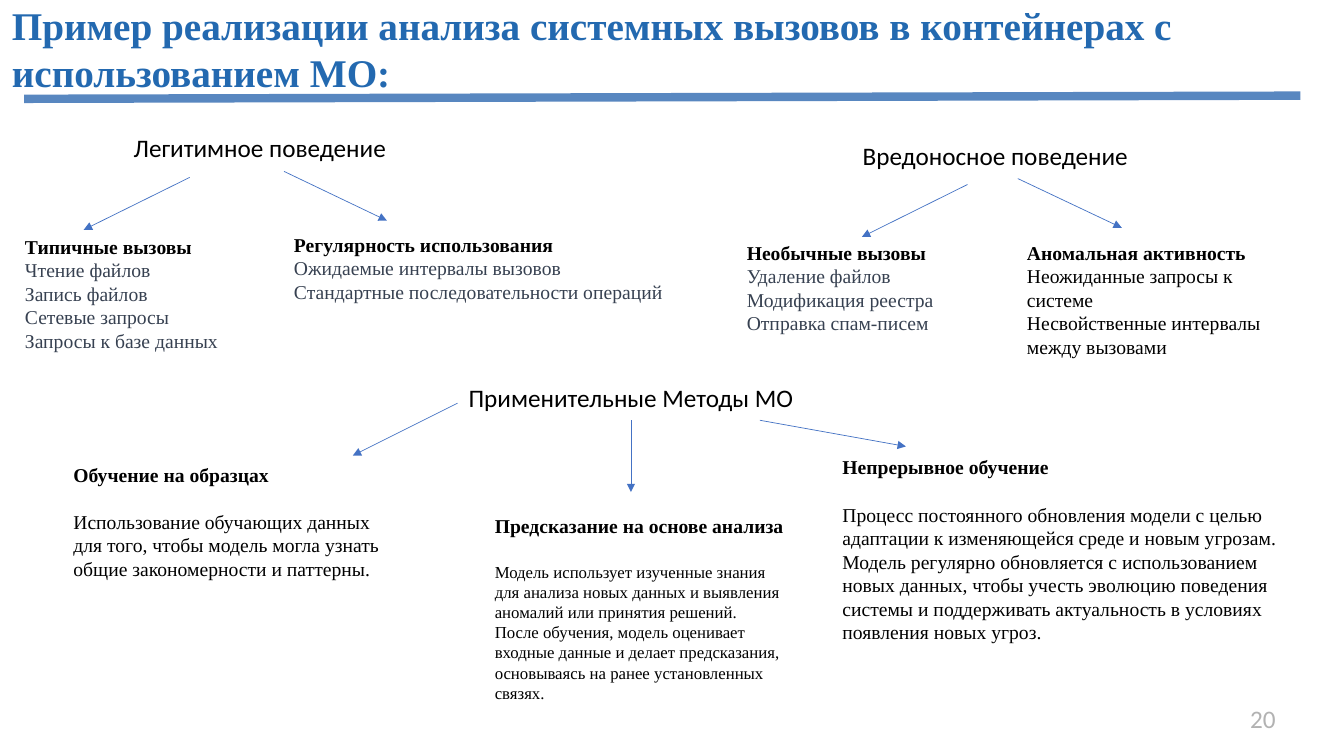
from dataclasses import dataclass
from pptx import Presentation
from pptx.dml.color import RGBColor as Rgb
from pptx.enum.shapes import MSO_CONNECTOR as Link
from pptx.enum.text import MSO_AUTO_SIZE as Fit, PP_ALIGN as Align
from pptx.oxml.ns import qn
from pptx.util import Cm, Pt
from lxml.etree import SubElement as Sub


@dataclass(frozen=True)
class Theme:
    serif: str = "Times New Roman"
    sans: str = "Calibri"
    blue: str = "2369B0"
    bar: str = "5887C0"
    arrow: str = "4472C4"
    black: str = "000000"
    slate: str = "374151"
    gray: str = "B2B2B2"
    title: int = 28
    topic: int = 18
    body: int = 14
    small: int = 12
    gap: int = 17


def put(par, text, *, size, font, color, bold=False):
    run = par.add_run()
    run.text = text
    run.font.size = Pt(size)
    run.font.name = font
    run.font.bold = bold
    run.font.color.rgb = Rgb.from_string(color)


class Board:
    def __init__(self, slide, theme):
        self.slide = slide
        self.theme = theme

    def frame(self, x, y, w, h, inset=True):
        frame = self.slide.shapes.add_textbox(Cm(x), Cm(y), Cm(w), Cm(h)).text_frame
        frame.word_wrap = True
        if inset:
            frame.auto_size = Fit.SHAPE_TO_FIT_TEXT
        else:
            frame.margin_left = frame.margin_right = 0
            frame.margin_top = frame.margin_bottom = 0
        return frame

    def title(self, text, *box):
        look = self.theme
        par = self.frame(*box, inset=False).paragraphs[0]
        put(par, text, size=look.title, font=look.serif, color=look.blue, bold=True)

    def number(self, text, *box):
        look = self.theme
        par = self.frame(*box, inset=False).paragraphs[0]
        par.alignment = Align.RIGHT
        put(par, text, size=look.topic, font=look.sans, color=look.gray)

    def topic(self, text, *box):
        look = self.theme
        par = self.frame(*box).paragraphs[0]
        put(par, text, size=look.topic, font=look.sans, color=look.black)

    def note(self, head, lines, box, color, size=None, gap=0, inline=False):
        look = self.theme
        frame = self.frame(*box)
        par = frame.paragraphs[0]
        par.space_after = Pt(gap)
        put(par, head, size=look.body, font=look.serif, color=look.black, bold=True)
        for i, line in enumerate(lines):
            if i or not inline:
                par = frame.add_paragraph()
            put(par, line, size=size or look.body, font=look.serif, color=color)

    def line(self, x1, y1, x2, y2, color, width):
        link = self.slide.shapes.add_connector(
            Link.STRAIGHT, Cm(x1), Cm(y1), Cm(x2), Cm(y2))
        link.line.color.rgb = Rgb.from_string(color)
        link.line.width = Pt(width)
        Sub(link._element.spPr, qn("a:effectLst"))
        return link

    def arrow(self, *ends):
        link = self.line(*ends, self.theme.arrow, 0.5)
        Sub(link.line._get_or_add_ln(), qn("a:tailEnd"), type="triangle")


def main():
    deck = Presentation()
    deck.slide_width, deck.slide_height = Cm(33.87), Cm(19.05)
    look = Theme()
    board = Board(deck.slides.add_slide(deck.slide_layouts[6]), look)

    board.title("Пример реализации анализа системных вызовов в контейнерах "
                "с использованием МО:", 0.3, 0.03, 33.93, 1.19)
    board.line(0.61, 2.49, 32.77, 2.41, look.bar, 6)
    board.number("20", 24.38, 17.73, 7.77, 0.94)

    for text, *box in (
        ("Легитимное поведение", 3.12, 3.2, 9, 1.02),
        ("Вредоносное поведение", 21.49, 3.42, 10.29, 1.02),
        ("Применительные Методы МО", 11.56, 9.52, 10.26, 1.02),
    ):
        board.topic(text, *box)

    for ends in (
        (4.78, 4.47, 2.11, 5.79),
        (7.16, 4.32, 9.75, 5.56),
        (24.38, 4.65, 21.72, 5.97),
        (25.65, 4.5, 28.27, 5.74),
        (11.53, 10.16, 8.89, 11.48),
        (15.9, 10.59, 15.9, 12.4),
        (19.15, 10.59, 22.83, 11.25),
    ):
        board.arrow(*ends)

    for head, lines, box in (
        ("Типичные вызовы",
         ("Чтение файлов", "Запись файлов", "Сетевые запросы", "Запросы к базе данных"),
         (0.38, 5.79, 6.15, 4.01)),
        ("Регулярность использования",
         ("Ожидаемые интервалы вызовов", "Стандартные последовательности операций"),
         (7.16, 5.74, 9.98, 2.06)),
        ("Необычные вызовы",
         ("Удаление файлов", "Модификация реестра", "Отправка спам-писем"),
         (18.57, 5.94, 5.89, 3.43)),
    ):
        board.note(head, lines, box, look.slate)

    board.note("Аномальная активность ",
               ("Неожиданные запросы к системе",
                "Несвойственные интервалы между вызовами"),
               (25.63, 5.94, 6.65, 3.25), look.black, inline=True)

    for head, lines, box, size in (
        ("Обучение на образцах",
         ("Использование обучающих данных для того, чтобы модель могла узнать "
          "общие закономерности и паттерны.",),
         (1.6, 11.53, 8.61, 3.25), look.body),
        ("Предсказание на основе анализа",
         ("Модель использует изученные знания для анализа новых данных и "
          "выявления аномалий или принятия решений.",
          "После обучения, модель оценивает входные данные и делает "
          "предсказания, основываясь на ранее установленных связях."),
         (12.22, 12.83, 8.05, 5.05), look.small),
        ("Непрерывное обучение",
         ("Процесс постоянного обновления модели с целью адаптации к "
          "изменяющейся среде и новым угрозам. Модель регулярно обновляется с "
          "использованием новых данных, чтобы учесть эволюцию поведения системы "
          "и поддерживать актуальность в условиях появления новых угроз.",),
         (20.98, 11.35, 11.79, 5.05), look.body),
    ):
        board.note(head, lines, box, look.black, size, look.gap)

    deck.save("out.pptx")


if __name__ == "__main__":
    main()
